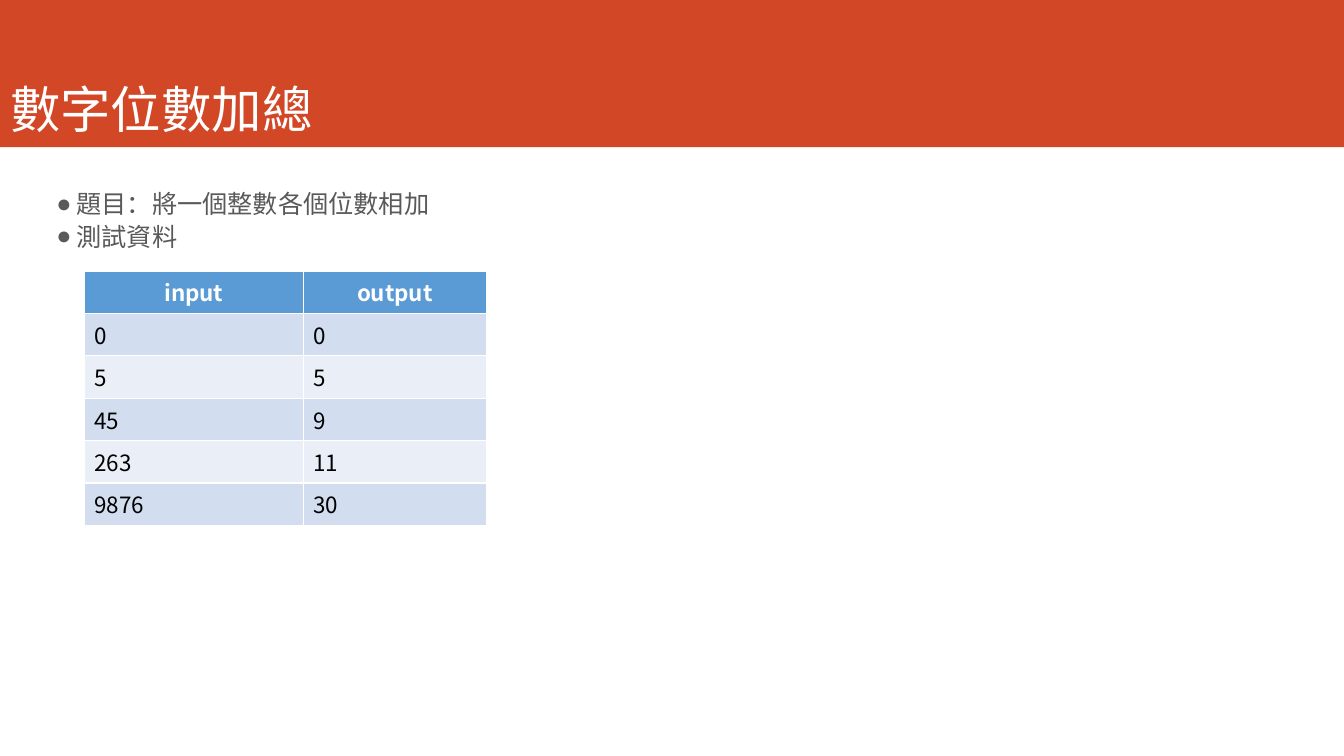
from lxml import etree
from pptx import Presentation
from pptx.dml.color import RGBColor
from pptx.enum import shapes, text
from pptx.oxml import ns
from pptx.util import Cm, Pt

# Content
HEADING = "數字位數加總"
POINTS = ["題目：將一個整數各個位數相加", "測試資料"]
TEST_DATA = [
    ("input", "output"),
    ("0", "0"),
    ("5", "5"),
    ("45", "9"),
    ("263", "11"),
    ("9876", "30"),
]

# Look
FONT = "Noto Sans CJK TC"
COLORS = {
    "banner": "D24726",
    "white": "FFFFFF",
    "body": "595959",
    "black": "000000",
    "header": "5B9BD5",
    "odd": "D2DEEF",
    "even": "EAEFF7",
}
SLIDE_W, SLIDE_H = Cm(33.87), Cm(19.05)
COLUMN_WIDTHS = [Cm(5.51), Cm(4.62)]
ROW_HEIGHT = Cm(1.04)
BULLET_INDENT = Cm(0.51)


def color(name):
    return RGBColor.from_string(COLORS[name])


def style(paragraph, size, color_name, align=text.PP_ALIGN.LEFT, bold=False):
    paragraph.alignment = align
    font = paragraph.font
    font.size, font.bold, font.name = Pt(size), bold, FONT
    font.color.rgb = color(color_name)
    latin = paragraph._p.pPr.find(".//" + ns.qn("a:latin"))
    east_asian = etree.Element(ns.qn("a:ea"), typeface=FONT)
    latin.addnext(east_asian)


def add_bullet(paragraph, symbol):
    properties = paragraph._p.get_or_add_pPr()
    properties.set("marL", str(BULLET_INDENT))
    properties.set("indent", str(-BULLET_INDENT))
    bullet = etree.Element(ns.qn("a:buChar"), char=symbol)
    properties.find(ns.qn("a:defRPr")).addprevious(bullet)


def place(shape, left, top, width, height):
    shape.left, shape.top = Cm(left), Cm(top)
    shape.width, shape.height = Cm(width), Cm(height)


prs = Presentation()
prs.slide_width, prs.slide_height = SLIDE_W, SLIDE_H
slide = prs.slides.add_slide(prs.slide_layouts[1])

# Banner behind the title
banner = slide.shapes.add_shape(
    shapes.MSO_SHAPE.RECTANGLE, 0, 0, SLIDE_W, Cm(3.71))
banner.shadow.inherit = False
banner.fill.solid()
banner.fill.fore_color.rgb = color("banner")
banner.line.fill.background()
slide.shapes.title._element.addprevious(banner._element)

# Title
heading = slide.shapes.title
place(heading, 0, 0.3, 29.87, 3.35)
heading.text_frame.text = HEADING
heading.text_frame.auto_size = text.MSO_AUTO_SIZE.NONE
heading.text_frame.vertical_anchor = text.MSO_ANCHOR.BOTTOM
heading_line = heading.text_frame.paragraphs[0]
heading_line.line_spacing = 0.9
style(heading_line, 36, "white")

# Bullet points
points = slide.placeholders[1]
place(points, 1.22, 4.7, 13.72, 2.13)
points_frame = points.text_frame
points_frame.text = "\n".join(POINTS)
points_frame.auto_size = text.MSO_AUTO_SIZE.NONE
points_frame.vertical_anchor = text.MSO_ANCHOR.TOP
points_frame.margin_left = points_frame.margin_top = Cm(0.2)
points_frame.margin_right = points_frame.margin_bottom = 0
for point in points_frame.paragraphs:
    point.space_before = Pt(6)
    point.line_spacing = 0.8
    style(point, 18, "body")
    add_bullet(point, "●")

# Test data table
test_table = slide.shapes.add_table(
    len(TEST_DATA), len(COLUMN_WIDTHS), Cm(2.13), Cm(6.83),
    sum(COLUMN_WIDTHS), ROW_HEIGHT * len(TEST_DATA)).table
for column, width in zip(test_table.columns, COLUMN_WIDTHS):
    column.width = width
for r, values in enumerate(TEST_DATA):
    is_header = r == 0
    band = "header" if is_header else "odd" if r % 2 else "even"
    for c, value in enumerate(values):
        cell = test_table.cell(r, c)
        cell.text = value
        cell.fill.solid()
        cell.fill.fore_color.rgb = color(band)
        style(cell.text_frame.paragraphs[0], 16,
              "white" if is_header else "black",
              text.PP_ALIGN.CENTER if is_header else text.PP_ALIGN.LEFT,
              is_header)

prs.save("out.pptx")
